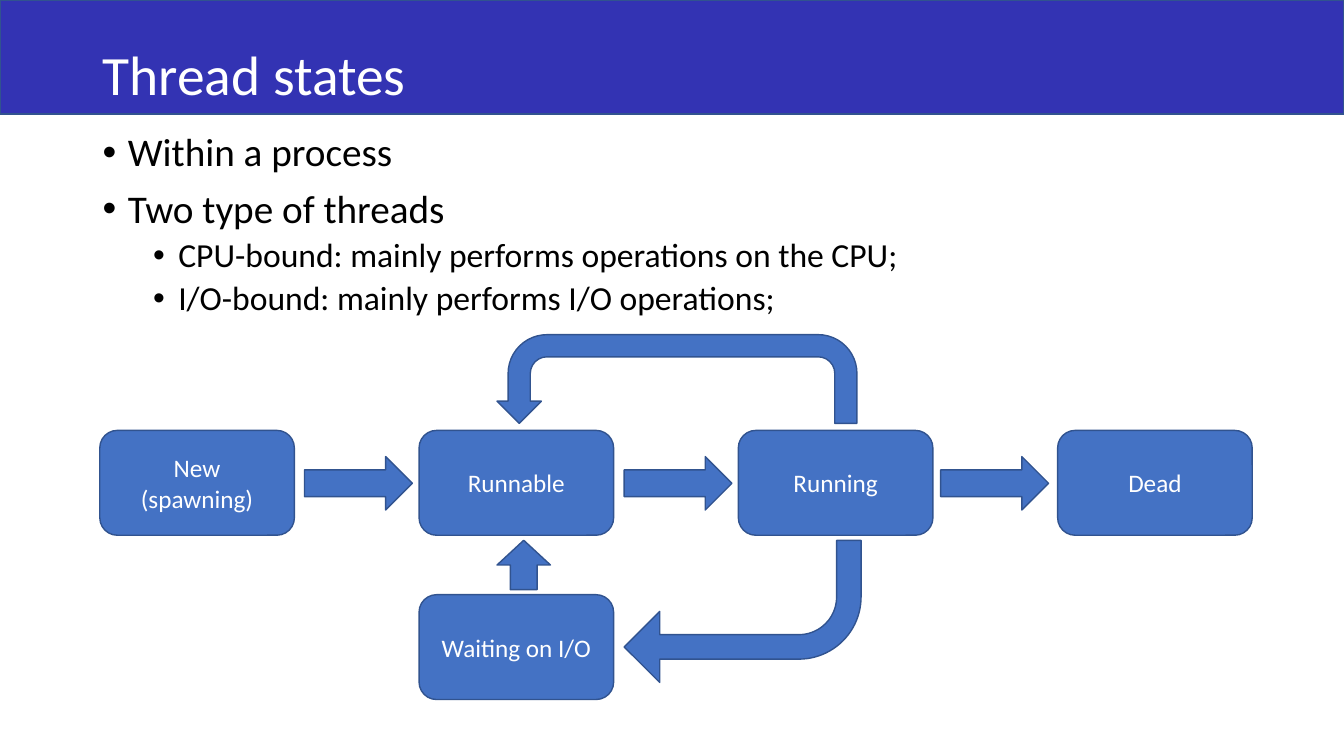
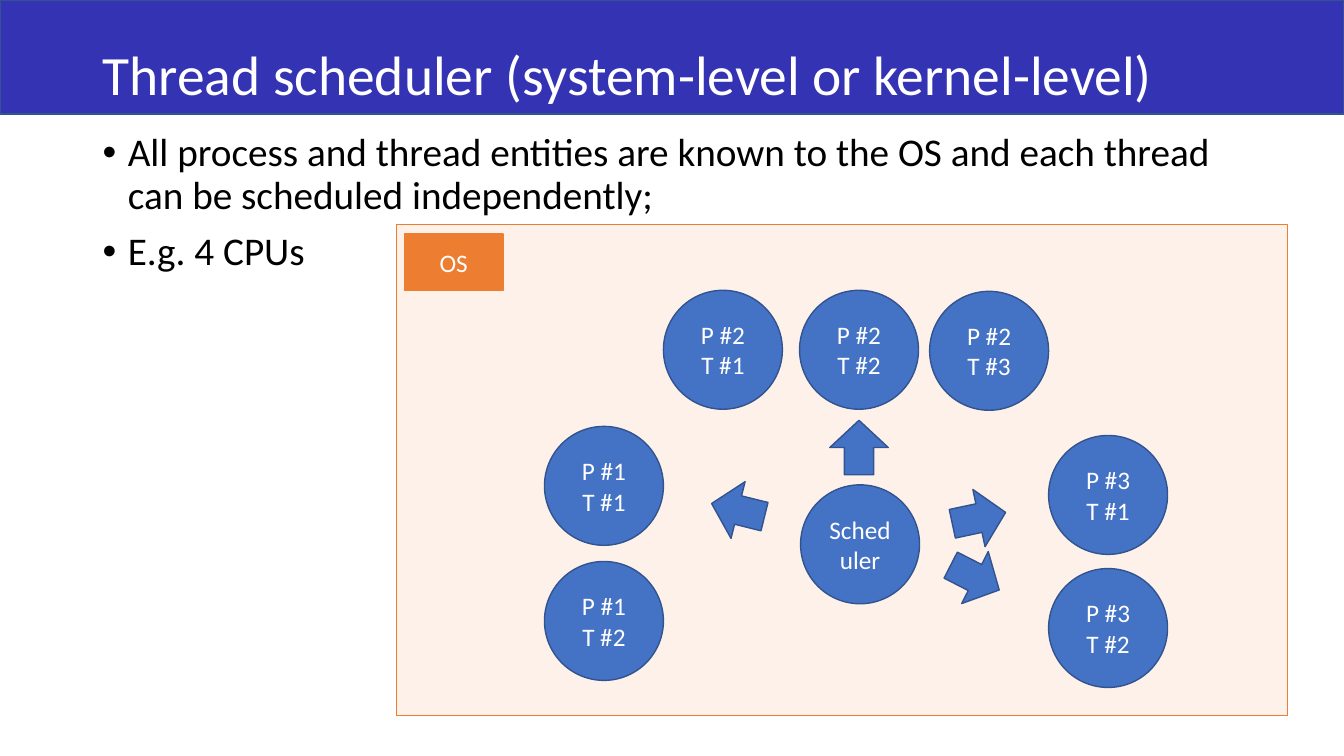
from lxml.etree import SubElement
from pptx import Presentation
from pptx.dml.color import RGBColor
from pptx.enum.shapes import MSO_SHAPE
from pptx.enum.text import MSO_ANCHOR, PP_ALIGN
from pptx.oxml.ns import qn
from pptx.util import Inches, Pt

# Shared style
WHITE = RGBColor(0xFF, 0xFF, 0xFF)
BLACK = RGBColor(0x00, 0x00, 0x00)
BAND = RGBColor(0x33, 0x33, 0xB3)
BLUE = RGBColor(0x44, 0x72, 0xC4)
BLUE_EDGE = RGBColor(0x31, 0x53, 0x8F)
ORANGE = RGBColor(0xED, 0x7D, 0x31)
FONT = "Calibri"
SLIDE_W, SLIDE_H = 13.33, 7.5
TEXT_LEFT, TEXT_W = 0.92, 11.5
BULLET_LEVELS = [(28, 0.25, 10), (24, 0.75, 5)]  # size, indent, space before

# State diagram
STATE_W, STATE_H = 1.93, 1.04
STATE_LEFT, STATE_TOP = 0.99, 4.27
STATE_STEP = 9.5 / 3
WAITING_TOP = 5.9

# Scheduler diagram
CIRCLE = 1.18
ARROW_W, ARROW_H = 0.54, 0.58


def add_run(p, text, size, color):
    r = p.add_run()
    r.text = text
    r.font.name = FONT
    r.font.size = Pt(size)
    r.font.color.rgb = color


def add_text_box(s, top, height):
    box = s.shapes.add_textbox(Inches(TEXT_LEFT), Inches(top),
                               Inches(TEXT_W), Inches(height))
    tf = box.text_frame
    tf.word_wrap = True
    return tf


def add_block(s, kind, at, lines=(), fill=BLUE, edge=BLUE_EDGE, inset=0.1):
    """Filled shape with centred lines of white text."""
    sp = s.shapes.add_shape(kind, *[Inches(v) for v in at])
    sp.shadow.inherit = False
    sp.fill.solid()
    sp.fill.fore_color.rgb = fill
    sp.line.color.rgb = edge
    sp.line.width = Pt(1)
    tf = sp.text_frame
    tf.word_wrap = True
    tf.vertical_anchor = MSO_ANCHOR.MIDDLE
    tf.margin_left = tf.margin_right = Inches(inset)
    for i, line in enumerate(lines):
        p = tf.add_paragraph() if i else tf.paragraphs[0]
        p.alignment = PP_ALIGN.CENTER
        add_run(p, line, 18, WHITE)
    return sp


def add_arrow(s, left, top, width, height, rotation=0):
    sp = add_block(s, MSO_SHAPE.RIGHT_ARROW, (left, top, width, height))
    sp.rotation = rotation


def add_bent_arrow(s, kind, at, adjustments):
    sp = add_block(s, kind, at)
    for i, value in enumerate(adjustments):
        sp.adjustments[i] = value
    return sp


def add_state(s, column, top, name):
    left = STATE_LEFT + column * STATE_STEP
    add_block(s, MSO_SHAPE.ROUNDED_RECTANGLE, (left, top, STATE_W, STATE_H),
              [name], inset=0.12)


def add_circle(s, left, top, *lines):
    add_block(s, MSO_SHAPE.OVAL, (left, top, CIRCLE, CIRCLE), lines)


def add_bullets(s, items):
    tf = add_text_box(s, 1.27, 5.49)
    for i, (level, text) in enumerate(items):
        size, indent, before = BULLET_LEVELS[level]
        p = tf.add_paragraph() if i else tf.paragraphs[0]
        p.level = level
        p.line_spacing = 0.9
        if i:
            p.space_before = Pt(before)
        pPr = p._p.get_or_add_pPr()
        pPr.set("marL", str(Inches(indent)))
        pPr.set("indent", str(Inches(-0.25)))
        SubElement(pPr, qn("a:buFont")).set("typeface", "Arial")
        SubElement(pPr, qn("a:buChar")).set("char", "•")
        add_run(p, text, size, BLACK)


def add_titled_slide(prs, title):
    s = prs.slides.add_slide(prs.slide_layouts[6])
    add_block(s, MSO_SHAPE.RECTANGLE, (0, 0, SLIDE_W, 1.13), fill=BAND)
    tf = add_text_box(s, 0.4, 0.73)
    tf.vertical_anchor = MSO_ANCHOR.MIDDLE
    p = tf.paragraphs[0]
    p.line_spacing = 0.9
    add_run(p, title, 39.6, WHITE)
    return s


def add_states_slide(prs):
    s = add_titled_slide(prs, "Thread states")
    add_bullets(s, [
        (0, "Within a process"),
        (0, "Two type of threads"),
        (1, "CPU-bound: mainly performs operations on the CPU;"),
        (1, "I/O-bound: mainly performs I/O operations;"),
    ])
    # States
    for column, name in enumerate(["New (spawning)", "Runnable", "Running", "Dead"]):
        add_state(s, column, STATE_TOP, name)
    add_state(s, 1, WAITING_TOP, "Waiting on I/O")
    # Transitions
    for left in (3.02, 6.19, 9.33):
        add_arrow(s, left, 4.53, 1.07, 0.53)
    add_arrow(s, 4.95, 5.34, 0.49, 0.53, 270)
    to_waiting = add_bent_arrow(s, MSO_SHAPE.BENT_ARROW, (6.19, 5.36, 2.35, 1.41),
                                (0.172, 0.25, 0.25, 0.438))
    to_waiting.rotation = 180
    to_runnable = add_bent_arrow(s, MSO_SHAPE.U_TURN_ARROW, (4.93, 3.32, 3.57, 0.88),
                                 (0.25, 0.25, 0.25, 0.438, 1))
    to_runnable._element.spPr.xfrm.set("flipH", "1")


def add_scheduler_slide(prs):
    s = add_titled_slide(prs, "Thread scheduler (system-level or kernel-level)")
    # Operating system panel
    panel = add_block(s, MSO_SHAPE.RECTANGLE, (3.93, 2.23, 8.84, 4.87),
                      fill=ORANGE, edge=ORANGE)
    color = panel._element.spPr.find(qn("a:solidFill"))[0]
    SubElement(color, qn("a:alpha")).set("val", "10000")
    add_block(s, MSO_SHAPE.RECTANGLE, (4.01, 2.32, 0.98, 0.56), ["OS"],
              fill=ORANGE, edge=ORANGE)
    add_bullets(s, [
        (0, "All process and thread entities are known to the OS and each thread "
            "can be scheduled independently;"),
        (0, "E.g. 4 CPUs"),
    ])
    # Scheduler and the threads of each process
    add_circle(s, 7.94, 4.81, "Scheduler")
    threads = {
        1: [(5.4, 4.23), (5.4, 5.57)],
        2: [(6.58, 2.88), (7.93, 2.88), (9.22, 2.89)],
        3: [(10.4, 4.32), (10.4, 5.64)],
    }
    for process, places in threads.items():
        for thread, (left, top) in enumerate(places, 1):
            add_circle(s, left, top, f"P #{process}", f"T #{thread}")
    # Dispatch arrows
    for left, top, rotation in [(7.05, 4.77, 193.9), (8.25, 4.15, 270),
                                (9.44, 4.85, 348), (9.4, 5.44, 27.1)]:
        add_arrow(s, left, top, ARROW_W, ARROW_H, rotation)


def main():
    prs = Presentation()
    prs.slide_width = Inches(SLIDE_W)
    prs.slide_height = Inches(SLIDE_H)
    add_states_slide(prs)
    add_scheduler_slide(prs)
    prs.save("out.pptx")


if __name__ == "__main__":
    main()
